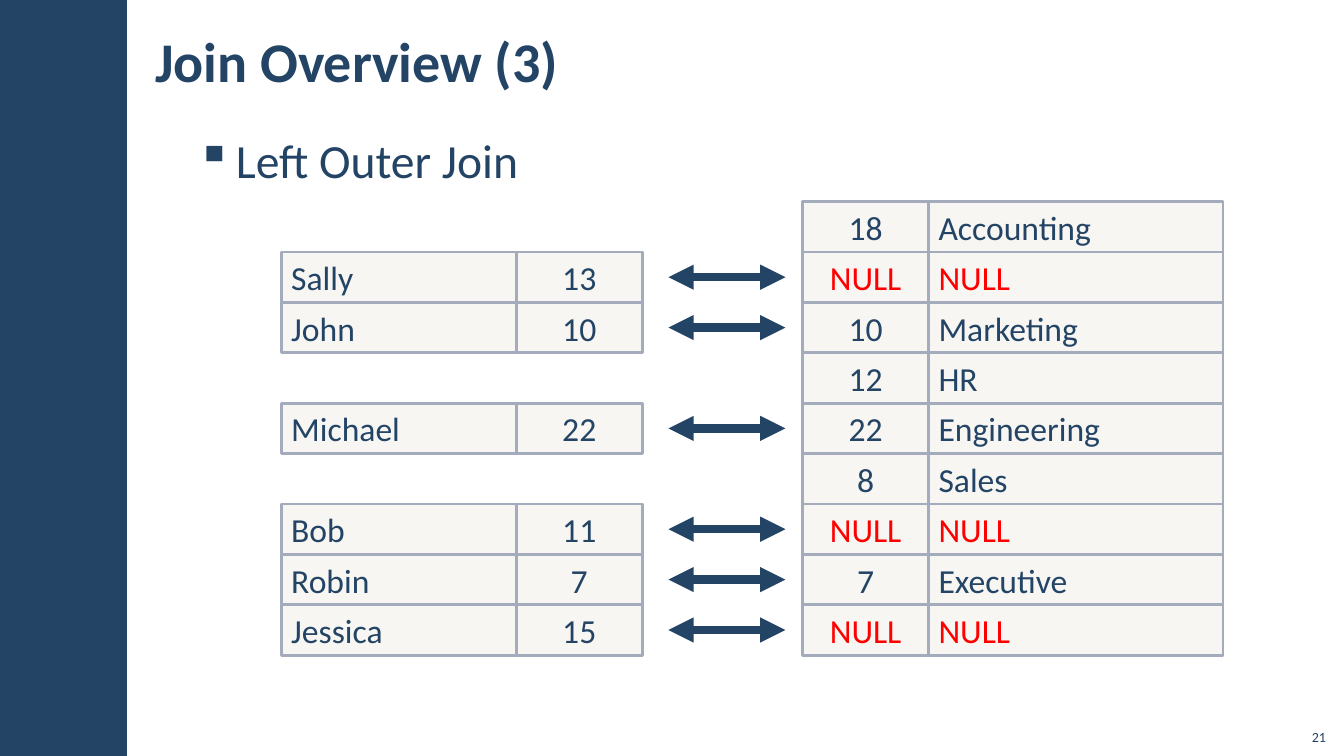
from lxml import etree
from pptx import Presentation
from pptx import util as u
from pptx.dml.color import RGBColor
from pptx.enum import shapes, text
from pptx.oxml import ns

NAVY = RGBColor(0x23, 0x44, 0x65)
SAND = RGBColor(0xD9, 0xD5, 0xC7)
EDGE = RGBColor(0xA3, 0xAB, 0xBC)
RED = RGBColor(0xFF, 0x00, 0x00)
LEFT, CENTER, RIGHT = text.PP_ALIGN.LEFT, text.PP_ALIGN.CENTER, text.PP_ALIGN.RIGHT
TOP, MIDDLE, BOTTOM = text.MSO_ANCHOR.TOP, text.MSO_ANCHOR.MIDDLE, text.MSO_ANCHOR.BOTTOM

ROW = 0.5
GRID_TOP = 2
EMPLOYEES = {1: ("Sally", "13"), 2: ("John", "10"), 4: ("Michael", "22"),
             6: ("Bob", "11"), 7: ("Robin", "7"), 8: ("Jessica", "15")}
DEPARTMENTS = dict(enumerate([
    ("18", "Accounting"), ("NULL", "NULL"), ("10", "Marketing"), ("12", "HR"),
    ("22", "Engineering"), ("8", "Sales"), ("NULL", "NULL"), ("7", "Executive"),
    ("NULL", "NULL")]))


def add_element(parent, tag, **attributes):
    """Append a drawing element to the parent and return it."""
    return etree.SubElement(parent, ns.qn(tag), attributes)


def write(frame, words, size, color=NAVY, align=LEFT, anchor=MIDDLE, bold=False):
    """Put one formatted line into a text frame and return its paragraph."""
    for name, value in {"word_wrap": True, "vertical_anchor": anchor}.items():
        setattr(frame, name, value)
    para = frame.paragraphs[0]
    para.alignment = align
    span = para.add_run()
    span.text = words
    span.font.color.rgb = color
    for name, value in {"name": "Calibri", "size": u.Pt(size), "bold": bold}.items():
        setattr(span.font, name, value)
    return para


def add_text(page, box, words, size, inset=(0.12, 0.04), **style):
    """Add a text box and return its paragraph."""
    frame = page.shapes.add_textbox(*map(u.Inches, box)).text_frame
    across, down = map(u.Inches, inset)
    for name, value in {"margin_left": across, "margin_right": across,
                        "margin_top": down, "margin_bottom": down}.items():
        setattr(frame, name, value)
    return write(frame, words, size, **style)


def add_rectangle(page, box, color):
    """Add a flat filled rectangle without an outline."""
    rectangle = page.shapes.add_shape(shapes.MSO_SHAPE.RECTANGLE, *map(u.Inches, box))
    rectangle.shadow.inherit = False
    rectangle.fill.solid()
    rectangle.fill.fore_color.rgb = color
    rectangle.line.fill.background()
    return rectangle


def add_bullet(page, box, words):
    """Add the bulleted topic line."""
    para = add_text(page, box, words, 34, anchor=TOP)
    properties = para._p.get_or_add_pPr()
    indent = u.Inches(0.39)
    properties.set("marL", str(indent))
    properties.set("indent", str(-indent))
    add_element(properties, "a:buChar", char="▪")
    for name, value in {"line_spacing": 1.05, "space_after": u.Pt(6)}.items():
        setattr(para, name, value)


def add_cell(page, box, words, align):
    """Add one translucent outlined cell, with NULL values in red."""
    cell = add_rectangle(page, box, SAND)
    color = cell.fill._xPr.find(ns.qn("a:solidFill"))[0]
    add_element(color, "a:alpha", val="20000")
    cell.line.color.rgb = EDGE
    cell.line.width = u.Pt(2)
    write(cell.text_frame, words, 24, RED if words == "NULL" else NAVY, align)


def add_rows(page, left, top, columns, rows):
    """Stack rows of cells on the grid; columns hold widths and alignments."""
    for index, values in rows.items():
        x = left
        for (width, align), words in zip(columns, values):
            add_cell(page, (x, top + index * ROW, width, ROW), words, align)
            x += width


def add_arrows(page, left, top, width, rows):
    """Add a double-headed arrow at the middle of each given row."""
    for index in rows:
        y = top + (index + 0.5) * ROW
        arrow = page.shapes.add_connector(
            shapes.MSO_CONNECTOR.STRAIGHT, *map(u.Inches, (left, y, left + width, y)))
        arrow.line.color.rgb = NAVY
        arrow.line.width = u.Pt(6)
        outline = arrow.line._get_or_add_ln()
        for end in ("a:headEnd", "a:tailEnd"):
            add_element(outline, end, type="triangle")
        add_element(arrow._element.spPr, "a:effectLst")


def build_join_slide(page):
    """Place the side band, the headings and the two joined tables."""
    add_rectangle(page, (0, 0, 1.26, 7.5), NAVY)
    add_text(page, (1.42, 0.11, 9.43, 0.97), "Join Overview (3)", 40, bold=True)
    add_bullet(page, (1.83, 1.23, 11.29, 6.07), "Left Outer Join")
    add_rows(page, 2.79, GRID_TOP, [(2.33, LEFT), (1.25, CENTER)], EMPLOYEES)
    add_rows(page, 7.96, GRID_TOP, [(1.25, CENTER), (2.92, LEFT)], DEPARTMENTS)
    add_arrows(page, 6.63, GRID_TOP, 1.16, EMPLOYEES)
    add_text(page, (12.85, 7.12, 0.4, 0.32), "21", 10, inset=(0.1, 0.05),
             align=RIGHT, anchor=BOTTOM)


def main():
    """Build the deck and save it."""
    deck = Presentation()
    deck.slide_width, deck.slide_height = u.Inches(13.33), u.Inches(7.5)
    build_join_slide(deck.slides.add_slide(deck.slide_layouts[6]))
    deck.save("out.pptx")


if __name__ == "__main__":
    main()
